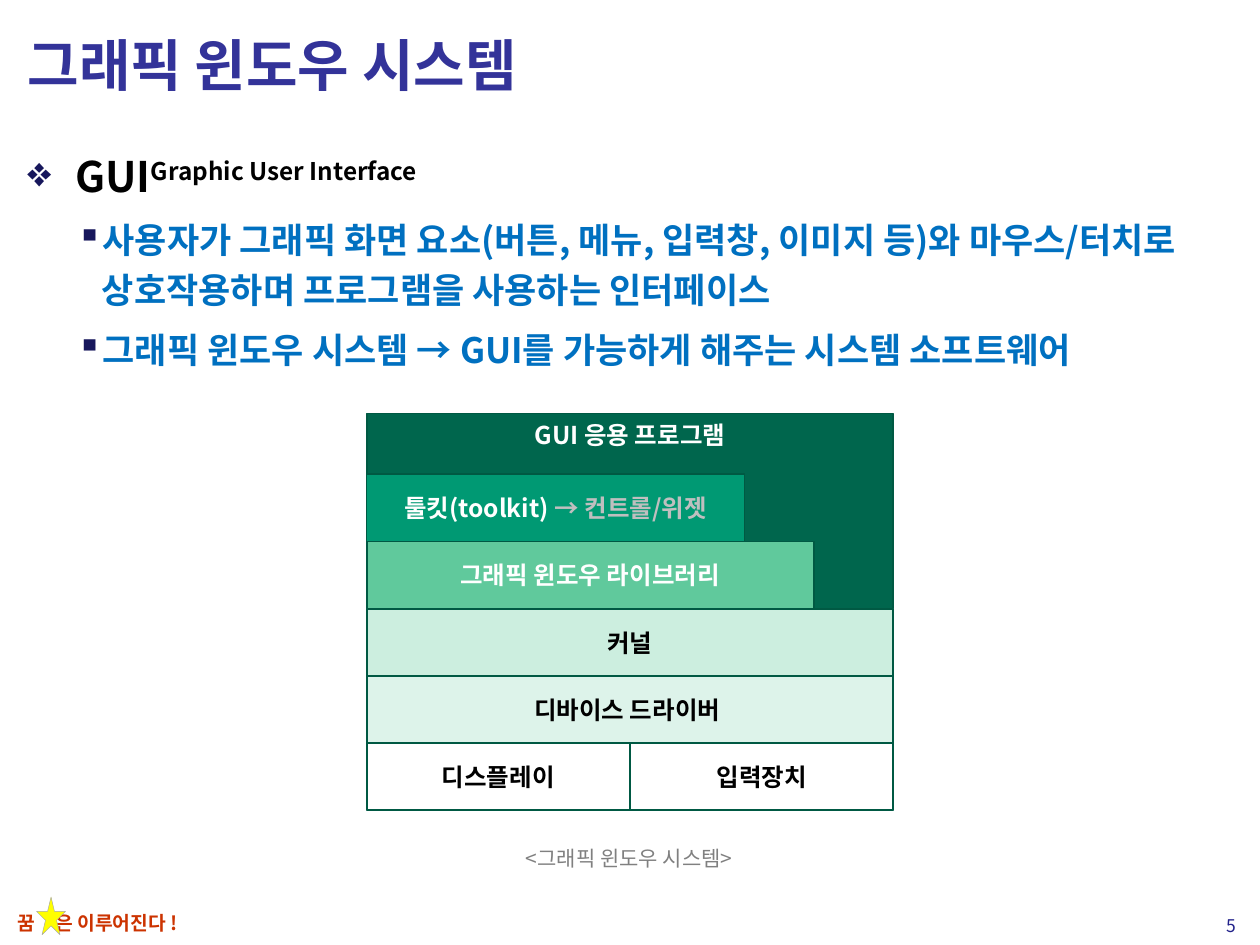
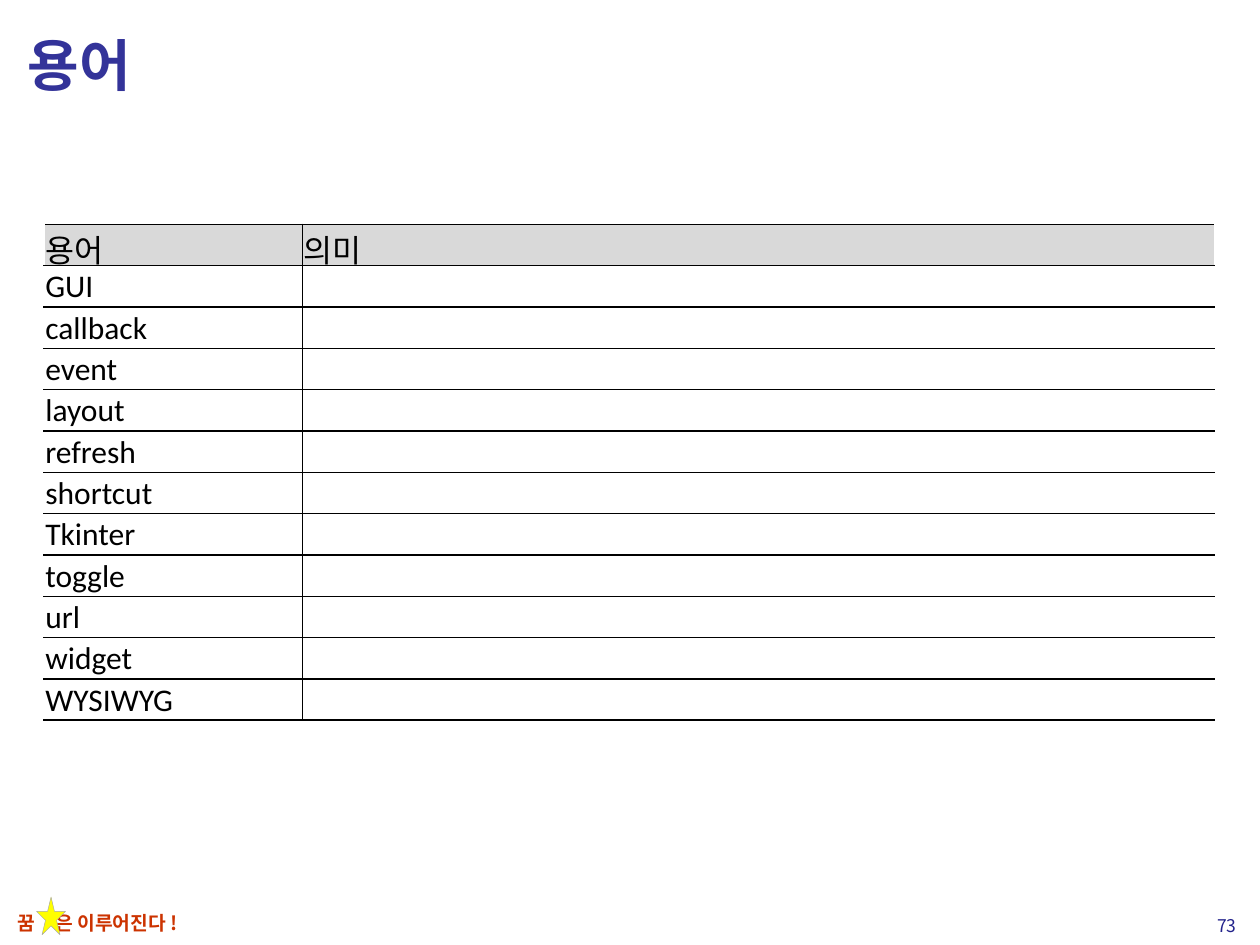
import pptx
import pptx.dml.color
import pptx.enum.shapes
import pptx.enum.text
import pptx.oxml.ns
import pptx.util
from lxml import etree

Pt = pptx.util.Pt
RGBColor = pptx.dml.color.RGBColor
Shape = pptx.enum.shapes.MSO_SHAPE
Align = pptx.enum.text.PP_ALIGN
Anchor = pptx.enum.text.MSO_ANCHOR
qn = pptx.oxml.ns.qn

FONT = "Noto Sans CJK KR"
WHITE = RGBColor(0xFF, 0xFF, 0xFF)
BLACK = RGBColor(0x00, 0x00, 0x00)
TITLE_BLUE = RGBColor(0x33, 0x33, 0x99)
NUMBER_BLUE = RGBColor(0x22, 0x22, 0x8B)
BULLET_NAVY = RGBColor(0x17, 0x17, 0x5C)
TEXT_BLUE = RGBColor(0x00, 0x70, 0xC0)
MOTTO_RED = RGBColor(0xCC, 0x33, 0x00)
STAR_YELLOW = RGBColor(0xFF, 0xFF, 0x00)
STAR_LINE = RGBColor(0xA6, 0xA6, 0xA6)
CAPTION_GRAY = RGBColor(0x80, 0x80, 0x80)
WIDGET_GRAY = RGBColor(0xBF, 0xBF, 0xBF)
HEADER_GRAY = RGBColor(0xD9, 0xD9, 0xD9)
GREEN_LINE = RGBColor(0x00, 0x59, 0x43)
APP_GREEN = RGBColor(0x00, 0x66, 0x4D)
TOOLKIT_GREEN = RGBColor(0x00, 0x99, 0x73)
LIBRARY_GREEN = RGBColor(0x60, 0xC9, 0x9C)
KERNEL_GREEN = RGBColor(0xCC, 0xEE, 0xDF)
DRIVER_GREEN = RGBColor(0xDD, 0xF3, 0xEA)


def format_runs(paragraph, size, color, bold=False, align=Align.LEFT):
    paragraph.alignment = align
    for run in paragraph.runs:
        run.font.size = Pt(size)
        run.font.bold = bold
        run.font.color.rgb = color
        run.font.name = FONT
        etree.SubElement(run._r.get_or_add_rPr(), qn("a:ea")).set("typeface", FONT)


def add_text_box(slide, left, top, width, height, text, anchor=Anchor.TOP):
    box = slide.shapes.add_textbox(Pt(left), Pt(top), Pt(width), Pt(height))
    box.text_frame.word_wrap = True
    box.text_frame.vertical_anchor = anchor
    box.text_frame.text = text
    return box.text_frame


presentation = pptx.Presentation()
presentation.slide_width = Pt(720)
presentation.slide_height = Pt(540)

for title_text, page_number in [("그래픽 윈도우 시스템", "5"), ("용어", "73")]:
    slide = presentation.slides.add_slide(presentation.slide_layouts[5])
    title = slide.shapes.title
    title.left, title.top, title.width, title.height = Pt(8.6), Pt(7.2), Pt(702.7), Pt(59)
    title.text_frame.text = title_text
    title.text_frame.vertical_anchor = Anchor.MIDDLE
    format_runs(title.text_frame.paragraphs[0], 32, TITLE_BLUE, True)

    motto = add_text_box(slide, 2.9, 517, 376.6, 20, "꿈\t은 이루어진다 !").paragraphs[0]
    tabs = etree.SubElement(motto._p.get_or_add_pPr(), qn("a:tabLst"))
    etree.SubElement(tabs, qn("a:tab"), pos=str(Pt(21.6)), algn="l")
    format_runs(motto, 11, MOTTO_RED, True)

    star = slide.shapes.add_shape(Shape.STAR_5_POINT, Pt(20.9), Pt(512.6), Pt(16.6), Pt(21.6))
    star.shadow.inherit = False
    star.fill.solid()
    star.fill.fore_color.rgb = STAR_YELLOW
    star.line.color.rgb = STAR_LINE
    star.line.width = Pt(0.25)

    number = add_text_box(slide, 671.8, 516.2, 41.8, 25.2, page_number, Anchor.MIDDLE)
    format_runs(number.paragraphs[0], 10, NUMBER_BLUE, align=Align.RIGHT)

window_slide, terms_slide = presentation.slides

body = add_text_box(window_slide, 8.6, 77, 704.9, 200, "GUI")
full_name = body.paragraphs[0].add_run()
full_name.text = "Graphic User Interface"
full_name._r.get_or_add_rPr().set("baseline", "30000")
for point in [
    "사용자가 그래픽 화면 요소(버튼, 메뉴, 입력창, 이미지 등)와 마우스/터치로 상호작용하며 프로그램을 사용하는 인터페이스",
    "그래픽 윈도우 시스템 → GUI를 가능하게 해주는 시스템 소프트웨어",
]:
    paragraph = body.add_paragraph()
    paragraph.text = point
    paragraph.level = 1
    paragraph.space_before = Pt(5)

for paragraph in body.paragraphs:
    if paragraph.level:
        bullet, margin, indent, size, color = "▪", 42.5, -14.4, 20, TEXT_BLUE
    else:
        bullet, margin, indent, size, color = "❖", 27.4, -27.4, 24, BLACK
    paragraph.line_spacing = 1.2
    properties = paragraph._p.get_or_add_pPr()
    properties.set("marL", str(Pt(margin)))
    properties.set("indent", str(Pt(indent)))
    bullet_color = etree.SubElement(properties, qn("a:buClr"))
    etree.SubElement(bullet_color, qn("a:srgbClr"), val=str(BULLET_NAVY))
    etree.SubElement(properties, qn("a:buChar"), char=bullet)
    format_runs(paragraph, size, color, True)

STACK_LEFT, STACK_TOP, STACK_BOTTOM = 209.5, 236.2, 463
STACK_WIDTH, LAYER_HEIGHT = 301, 38.4
HALF = STACK_WIDTH / 2
layers = [
    ("디바이스 드라이버 ", 2, 0, STACK_WIDTH, DRIVER_GREEN, BLACK),
    ("커널", 3, 0, STACK_WIDTH, KERNEL_GREEN, BLACK),
    ("그래픽 윈도우 라이브러리", 4, 0, 255.6, LIBRARY_GREEN, WHITE),
    ("툴킷(toolkit) ", 5, 0, 216, TOOLKIT_GREEN, WHITE),
    ("디스플레이", 1, 0, HALF, WHITE, BLACK),
    ("입력장치", 1, HALF, HALF, WHITE, BLACK),
]
boxes = [("GUI 응용 프로그램", 0, STACK_TOP, STACK_WIDTH, STACK_BOTTOM - STACK_TOP,
          APP_GREEN, WHITE, Anchor.TOP)]
for text, level, offset, width, fill, color in layers:
    top = STACK_BOTTOM - level * LAYER_HEIGHT
    boxes.append((text, offset, top, width, LAYER_HEIGHT, fill, color, Anchor.MIDDLE))

for text, offset, top, width, height, fill, color, anchor in boxes:
    layer = window_slide.shapes.add_shape(
        Shape.RECTANGLE, Pt(STACK_LEFT + offset), Pt(top), Pt(width), Pt(height))
    layer.shadow.inherit = False
    layer.fill.solid()
    layer.fill.fore_color.rgb = fill
    layer.line.color.rgb = GREEN_LINE
    layer.line.width = Pt(1)
    layer.text_frame.text = text
    layer.text_frame.vertical_anchor = anchor
    paragraph = layer.text_frame.paragraphs[0]
    format_runs(paragraph, 14, color, True, Align.CENTER)
    if fill == TOOLKIT_GREEN:
        paragraph.add_run().text = "→ 컨트롤/위젯"
        format_runs(paragraph, 14, color, True, Align.CENTER)
        paragraph.runs[1].font.color.rgb = WIDGET_GRAY

caption = add_text_box(window_slide, 285.1, 479.5, 149, 21.6, "<그래픽 윈도우 시스템>")
format_runs(caption.paragraphs[0], 12, CAPTION_GRAY, align=Align.CENTER)

terms = ["GUI", "callback", "event", "layout", "refresh", "shortcut",
         "Tkinter", "toggle", "url", "widget", "WYSIWYG"]
rows = [("용어", "의미")] + [(term, "") for term in terms]
ROW_HEIGHT = 23.64
table = terms_slide.shapes.add_table(
    len(rows), 2, Pt(25.2), Pt(128.2), Pt(668.9), Pt(ROW_HEIGHT * len(rows))).table
table.first_row = False
table.horz_banding = False
table.columns[0].width = Pt(147.6)
table.columns[1].width = Pt(521.3)

for row_index, row in enumerate(rows):
    table.rows[row_index].height = Pt(ROW_HEIGHT)
    for column_index, text in enumerate(row):
        cell = table.cell(row_index, column_index)
        cell.margin_left = cell.margin_right = cell.margin_top = Pt(0.72)
        cell.margin_bottom = Pt(0)
        cell.vertical_anchor = Anchor.MIDDLE
        left_color, right_color = (BLACK, WHITE) if column_index else (WHITE, BLACK)
        edges = {"lnL": left_color, "lnR": right_color, "lnT": BLACK, "lnB": BLACK}
        for edge, color in edges.items():
            border = etree.SubElement(
                cell._tc.get_or_add_tcPr(), qn("a:" + edge), w=str(Pt(1)))
            border_fill = etree.SubElement(border, qn("a:solidFill"))
            etree.SubElement(border_fill, qn("a:srgbClr"), val=str(color))
        cell.fill.solid()
        cell.fill.fore_color.rgb = WHITE if row_index else HEADER_GRAY
        paragraph = cell.text_frame.paragraphs[0]
        if text:
            cell.text_frame.text = text
            format_runs(paragraph, 12, BLACK, align=Align.LEFT if row_index else Align.CENTER)
        else:
            etree.SubElement(paragraph._p, qn("a:endParaRPr"), sz="1200")

presentation.save("out.pptx")
